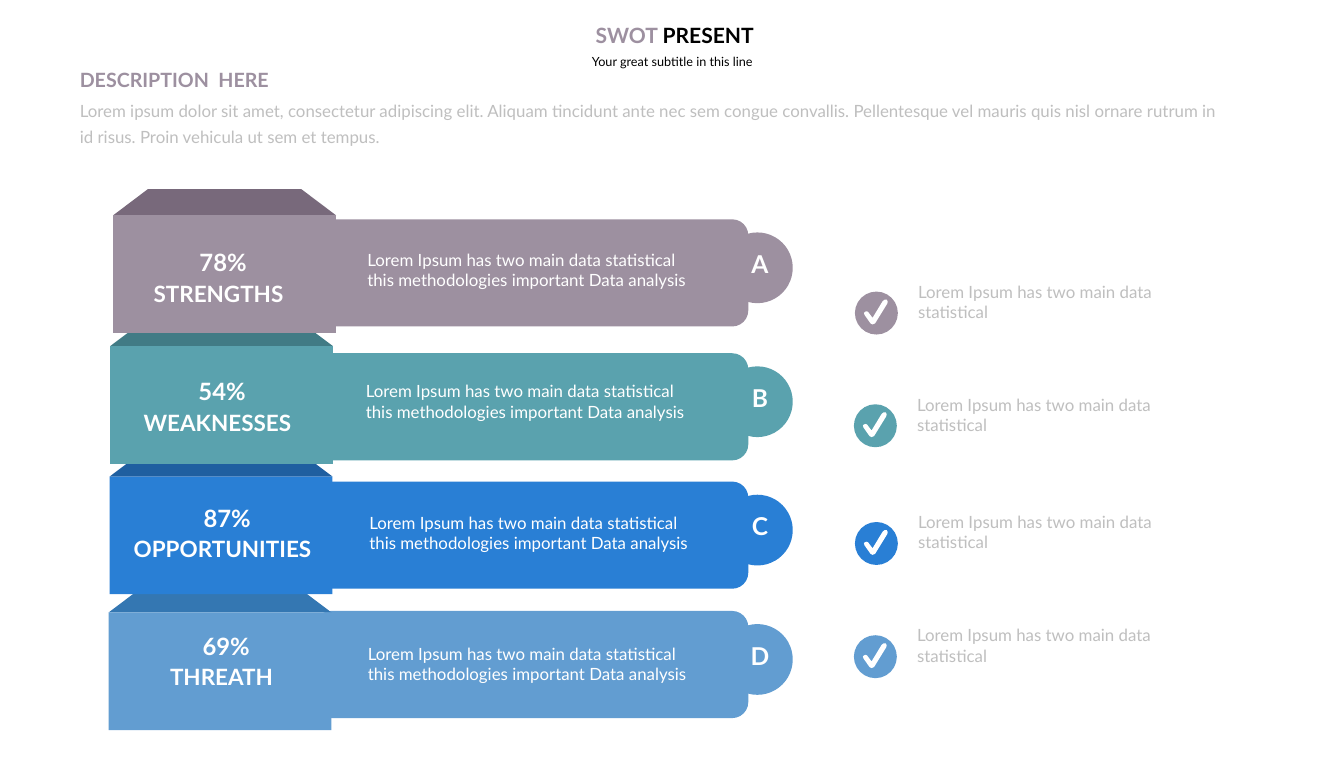
from dataclasses import dataclass

import pptx
import pptx.dml.color
import pptx.enum.shapes
import pptx.enum.text
import pptx.util

Inches = pptx.util.Inches
SHAPE = pptx.enum.shapes.MSO_SHAPE
ALIGN = pptx.enum.text.PP_ALIGN
ANCHOR = pptx.enum.text.MSO_ANCHOR

COLORS = {
    "mauve": "9D90A0", "mauve_dark": "78697B",
    "teal": "5AA2AE", "teal_dark": "417B85",
    "blue": "297FD5", "blue_dark": "1F5FA0",
    "sky": "629DD1", "sky_dark": "3477B2",
    "white": "FFFFFF", "black": "000000", "gray": "BFBFBF",
}

# Outline of the check mark, measured from the corner of its circle
CHECK = [(0.35, 0.65), (0.31, 0.63), (0.19, 0.46), (0.18, 0.42), (0.20, 0.40),
         (0.23, 0.39), (0.26, 0.40), (0.35, 0.52), (0.55, 0.19), (0.59, 0.16),
         (0.63, 0.16), (0.65, 0.20), (0.64, 0.24), (0.40, 0.63)]

BLOCK_W, BLOCK_H = 4.41, 2.33
LID_H, LID_INSET = 0.52, 0.69
BAR_X, BAR_W, BAR_H = 6.23, 8.58, 2.12
NOTE_TOP, NOTE_STEP = 4.82, 2.6
NOTE = ("Lorem Ipsum has two main data statistical "
        "this methodologies important Data analysis")
CHECK_NOTE = "Lorem Ipsum has two main data statistical"
DESCRIPTION = ("Lorem ipsum dolor sit amet, consectetur adipiscing elit. Aliquam "
               "tincidunt ante nec sem congue convallis. Pellentesque vel mauris quis "
               "nisl ornare rutrum in id risus. Proin vehicula ut sem et tempus.")


@dataclass
class Row:
    letter: str
    name: str
    percent: str
    color: str
    bar_y: float
    block: tuple
    label: tuple
    note_x: float
    check: tuple
    check_w: float


ROWS = [
    Row("A", "STRENGTHS", "78%", "mauve", 4.34, (2.24, 4.26), (2.24, 5.44),
        7.03, (16.92, 5.77), 6.28),
    Row("B", "WEAKNESSES", "54%", "teal", 6.99, (2.18, 6.85), (2.22, 7.99),
        7.00, (16.90, 8.00), 5.40),
    Row("C", "OPPORTUNITIES", "87%", "blue", 9.53, (2.17, 9.43), (2.32, 10.49),
        7.07, (16.92, 10.33), 6.28),
    Row("D", "THREATH", "69%", "sky", 12.09, (2.15, 12.12), (2.30, 13.03),
        7.04, (16.90, 12.57), 5.40),
]


class Deck:
    font = "Lato"

    def __init__(self, slide):
        self.s = slide

    def color(self, name):
        return pptx.dml.color.RGBColor.from_string(COLORS[name])

    def paint(self, sp, color):
        sp.shadow.inherit = False
        sp.fill.solid()
        sp.fill.fore_color.rgb = self.color(color)
        sp.line.fill.background()
        return sp

    def shape(self, kind, x, y, w, h, color):
        sp = self.s.shapes.add_shape(kind, Inches(x), Inches(y), Inches(w), Inches(h))
        return self.paint(sp, color)

    def polygon(self, points, color):
        pts = [(Inches(x), Inches(y)) for x, y in points]
        builder = self.s.shapes.build_freeform(*pts[0])
        builder.add_line_segments(pts[1:], close=True)
        return self.paint(builder.convert_to_shape(), color)

    def set_text(self, sp, runs, size, bold=False, align=ALIGN.LEFT,
                 inset=(0.2, 0.1), anchor=ANCHOR.TOP, spacing=1.0):
        """Fill a shape with one paragraph of (text, colour) runs."""
        tf = sp.text_frame
        tf.word_wrap = True
        tf.auto_size = pptx.enum.text.MSO_AUTO_SIZE.SHAPE_TO_FIT_TEXT
        tf.vertical_anchor = anchor
        tf.margin_left = tf.margin_right = Inches(inset[0])
        tf.margin_top = tf.margin_bottom = Inches(inset[1])
        p = tf.paragraphs[0]
        p.alignment = align
        p.line_spacing = spacing
        p.space_before = pptx.util.Pt(0)
        for text, color in runs:
            r = p.add_run()
            r.text = text
            r.font.name = self.font
            r.font.size = pptx.util.Pt(size)
            r.font.bold = bold
            r.font.color.rgb = self.color(color)

    def text(self, x, y, w, h, text, color, size, **style):
        sp = self.s.shapes.add_textbox(Inches(x), Inches(y), Inches(w), Inches(h))
        self.set_text(sp, [(text, color)], size, **style)

    def placeholder(self, idx, x, y, w, h, runs, size, **style):
        sp = self.s.placeholders[idx]
        sp.left, sp.top, sp.width, sp.height = map(Inches, (x, y, w, h))
        self.set_text(sp, runs, size, align=ALIGN.CENTER, **style)

    def bar(self, row):
        sp = self.shape(SHAPE.ROUNDED_RECTANGLE, BAR_X, row.bar_y, BAR_W, BAR_H, row.color)
        sp.adjustments[0] = 0.15
        self.shape(SHAPE.OVAL, 14.29, row.bar_y + 0.26, 1.4, 1.4, row.color)
        self.text(14.39, row.bar_y + 0.54, 1.3, 0.69, row.letter, "white", 35,
                  bold=True, align=ALIGN.CENTER, inset=(0.1, 0.05))

    def block(self, row):
        x, y = row.block
        right, top = x + BLOCK_W, y - LID_H
        self.polygon([(right, y), (x, y), (x + LID_INSET, top), (right - LID_INSET, top)],
                     row.color + "_dark")
        self.shape(SHAPE.RECTANGLE, x, y, BLOCK_W, BLOCK_H, row.color)

    def label(self, row):
        x, y = row.label
        style = dict(bold=True, align=ALIGN.CENTER)
        self.text(x, y, 4.17, 0.74, row.name, "white", 32, **style)
        self.text(x + 0.35, y - 0.63, 3.65, 0.77, row.percent, "white", 34, **style)

    def check(self, row):
        x, y = row.check
        self.text(x + 1.01, y - 0.32, row.check_w, 1.05, CHECK_NOTE, "gray", 24,
                  inset=(0.24, 0.12))
        self.shape(SHAPE.OVAL, x, y, 0.85, 0.85, row.color)
        self.polygon([(x + dx, y + dy) for dx, dy in CHECK], "white")


def main():
    prs = pptx.Presentation()
    prs.slide_width, prs.slide_height = Inches(26.6), Inches(15)
    deck = Deck(prs.slides.add_slide(prs.slide_layouts[0]))

    deck.placeholder(1, 9.22, 0.95, 8.17, 0.55,
                     [("Your great subtitle in this line", "black")], 18,
                     inset=(0.24, 0.12))
    deck.placeholder(0, 8.3, 0.34, 10.11, 0.71,
                     [("SWOT ", "mauve"), ("PRESENT", "black")], 30, bold=True)
    deck.text(1.31, 1.73, 23.14, 1.32, DESCRIPTION, "gray", 24,
              inset=(0.27, 0.13), anchor=ANCHOR.MIDDLE, spacing=1.3)
    deck.text(1.38, 1.25, 4.61, 0.67, "DESCRIPTION  HERE", "mauve", 28, bold=True)

    for row in ROWS:
        deck.bar(row)
    # Bottom block first, so that each block covers the lid below it
    for row in reversed(ROWS):
        deck.block(row)
    for i, row in enumerate(ROWS):
        deck.label(row)
        deck.text(row.note_x, NOTE_TOP + i * NOTE_STEP, 6.84, 1.05, NOTE, "white", 24,
                  inset=(0.24, 0.12))
        deck.check(row)

    prs.save("out.pptx")


if __name__ == "__main__":
    main()
